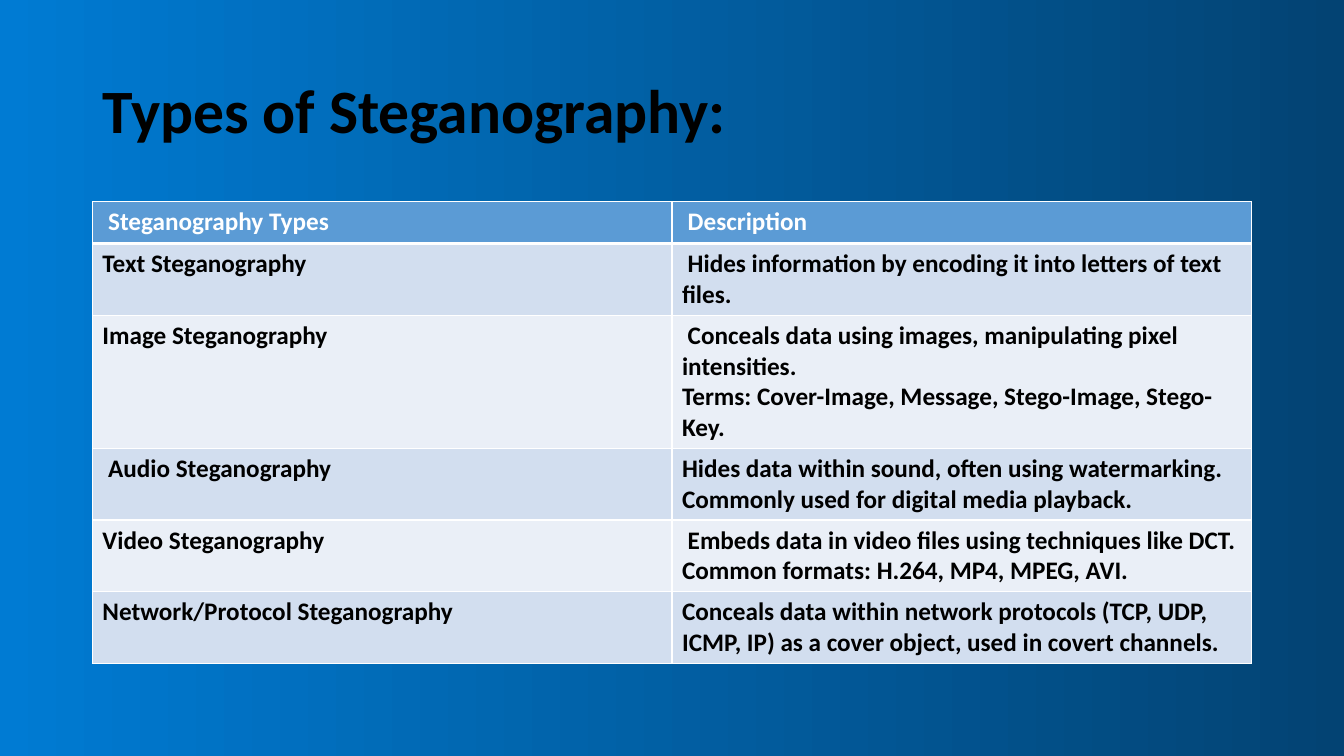
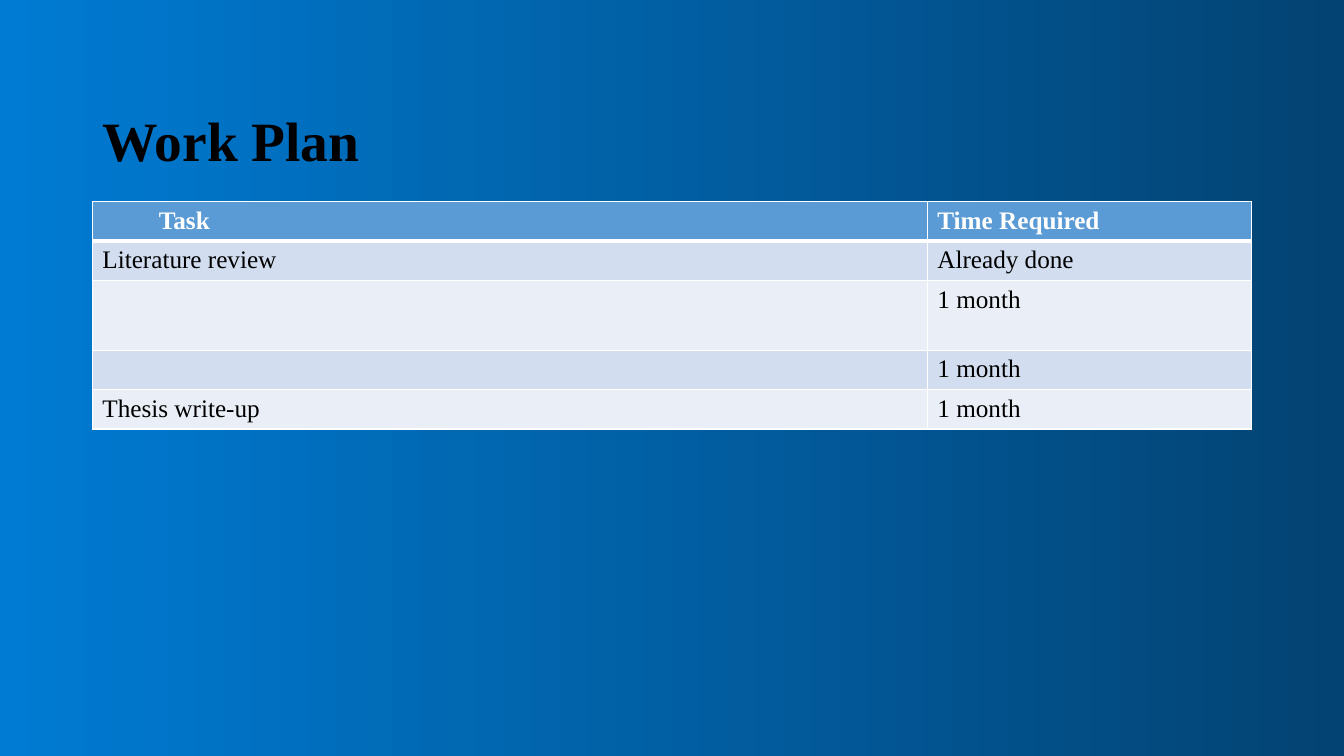
from lxml.etree import SubElement
from pptx import Presentation
from pptx.dml.color import RGBColor
from pptx.enum.text import MSO_ANCHOR as Anchor, MSO_AUTO_SIZE as AutoSize, PP_ALIGN as Align
from pptx.oxml.ns import qn
from pptx.util import Inches, Pt

# Slide grid: 160 columns by 90 rows, twelve to the inch
COLUMNS, ROWS = 160, 90
TITLE_BOX = (11, 4.8, 138, 17.4)
TABLE_BOX = (11, 24, 138)
TITLE_ONLY = 5

BLACK, WHITE = "000000", "FFFFFF"
HEADER_FILL = "5B9BD5"
BAND_FILLS = ("D2DEEF", "EAEFF7")
BACKGROUND = ("007BD3", "034373")
SANS, SERIF = "Calibri", "Times New Roman"
TABLE_SIZE = 18

TYPES = [
    (" Steganography Types", " Description"),
    ("Text Steganography",
     " Hides information by encoding it into letters of text files."),
    ("Image Steganography",
     " Conceals data using images, manipulating pixel intensities.\n"
     "Terms: Cover-Image, Message, Stego-Image, Stego-Key."),
    (" Audio Steganography",
     "Hides data within sound, often using watermarking.\n"
     "Commonly used for digital media playback."),
    ("Video Steganography",
     " Embeds data in video files using techniques like DCT.\n"
     "Common formats: H.264, MP4, MPEG, AVI."),
    ("Network/Protocol Steganography",
     "Conceals data within network protocols (TCP, UDP, ICMP, IP) "
     "as a cover object, used in covert channels."),
]
PLAN = [
    ("Task", "Time Required"),
    ("Literature review", "Already done"),
    ("", "1 month"),
    ("", "1 month"),
    ("Thesis write-up", "1 month"),
]


def grid(units):
    return Inches(units / 12)


def rgb(color):
    return RGBColor.from_string(color)


def set_all(target, values):
    for name, value in values.items():
        setattr(target, name, value)


def style(font, name, size, color, bold):
    set_all(font, {"name": name, "size": Pt(size), "bold": bold})
    font.color.rgb = rgb(color)


def paint_background(master):
    fill = master.background.fill
    fill.gradient()
    fill.gradient_angle = 0
    for stop, position, color in zip(fill.gradient_stops, (0, 1), BACKGROUND):
        stop.position = position
        stop.color.rgb = rgb(color)


def add_page(deck, text, font, size, drop=0):
    """Add a slide with its title; drop lowers the text inside the box."""
    page = deck.slides.add_slide(deck.slide_layouts[TITLE_ONLY])
    title = page.shapes.title
    set_all(title, dict(zip(("left", "top", "width", "height"), map(grid, TITLE_BOX))))
    frame = title.text_frame
    frame.text = text
    set_all(frame, {"word_wrap": True, "auto_size": AutoSize.NONE,
                    "vertical_anchor": Anchor.MIDDLE,
                    "margin_top": Inches(0.05) + grid(drop)})
    para = frame.paragraphs[0]
    set_all(para, {"alignment": Align.LEFT, "line_spacing": 0.9})
    style(para.runs[0].font, font, size, BLACK, True)
    return page


def add_borders(cell, top, bottom):
    properties = cell._tc.get_or_add_tcPr()
    for side, width in zip("LRTB", (1, 1, top, bottom)):
        line = SubElement(properties, qn(f"a:ln{side}"), w=str(Pt(width)))
        SubElement(SubElement(line, qn("a:solidFill")), qn("a:srgbClr"), val=WHITE)


def fill_cell(cell, text, row, font, bold):
    header = row == 0
    # A thick rule parts the header from the body
    add_borders(cell, 3 if row == 1 else 1, 3 if header else 1)
    cell.fill.solid()
    cell.fill.fore_color.rgb = rgb(HEADER_FILL if header else BAND_FILLS[(row - 1) % 2])
    cell.text = text
    for para in cell.text_frame.paragraphs:
        for span in para.runs:
            style(span.font, font, TABLE_SIZE, WHITE if header else BLACK, header or bold)
        # Keeps the line height of empty cells
        ending = SubElement(para._p, qn("a:endParaRPr"), sz=str(TABLE_SIZE * 100))
        SubElement(ending, qn("a:latin"), typeface=font)


def add_grid_table(page, content, widths, heights, font, bold):
    left, top, width = map(grid, TABLE_BOX)
    table = page.shapes.add_table(len(content), len(widths), left, top, width,
                                  grid(sum(heights))).table
    for column, units in zip(table.columns, widths):
        column.width = grid(units)
    for row, units in zip(table.rows, heights):
        row.height = grid(units)
    for row, texts in enumerate(content):
        for column, text in enumerate(texts):
            fill_cell(table.cell(row, column), text, row, font, bold)
    return table


def types_slide(deck):
    page = add_page(deck, "Types of Steganography:", SANS, 44)
    add_grid_table(page, TYPES, (69, 69), [5] * len(TYPES), SANS, True)


def plan_slide(deck):
    page = add_page(deck, "Work Plan", SERIF, 39.6, drop=7.2)
    table = add_grid_table(page, PLAN, (99.4, 38.6), (4.7, 4.7, 8.3, 4.7, 4.7), SERIF, False)
    table.cell(0, 0).margin_left = Inches(0.66)


def main():
    deck = Presentation()
    set_all(deck, {"slide_width": grid(COLUMNS), "slide_height": grid(ROWS)})
    paint_background(deck.slide_master)
    types_slide(deck)
    plan_slide(deck)
    deck.save("out.pptx")


if __name__ == "__main__":
    main()
